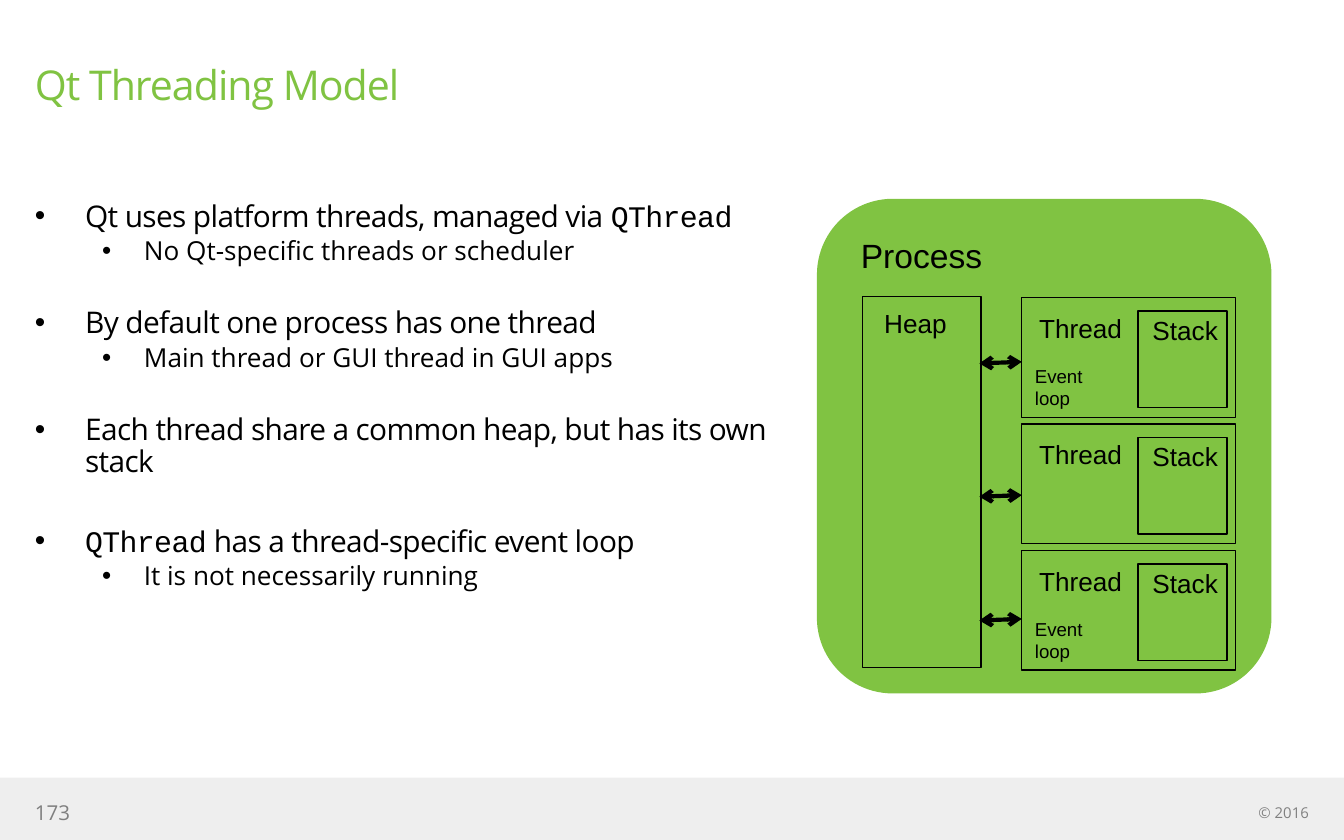
from lxml import etree
from pptx import Presentation
from pptx.dml.color import RGBColor
from pptx.enum.shapes import MSO_CONNECTOR, MSO_SHAPE
from pptx.enum.text import MSO_ANCHOR, PP_ALIGN
from pptx.oxml.ns import qn
from pptx.util import Cm, Pt

RECTANGLE, ROUNDED = MSO_SHAPE.RECTANGLE, MSO_SHAPE.ROUNDED_RECTANGLE
STRAIGHT = MSO_CONNECTOR.STRAIGHT
MIDDLE, TOP = MSO_ANCHOR.MIDDLE, MSO_ANCHOR.TOP
LEFT, RIGHT = PP_ALIGN.LEFT, PP_ALIGN.RIGHT

GREEN, BLACK, GREY, PALE = "80C342", "000000", "808080", "EEEEEE"
SANS, MONO, LABEL_FONT = "Open Sans", "Courier New", "Arial"

# Each bullet: level, space before in points, runs of (text, font name)
BULLETS = [
    (0, 0, [("Qt uses platform threads, managed via ", SANS), ("QThread", MONO)]),
    (1, 2.5, [("No Qt-specific threads or scheduler", SANS)]),
    (0, 22.3, [("By default one process has one thread", SANS)]),
    (1, 2.5, [("Main thread or GUI thread in GUI apps", SANS)]),
    (0, 22.3, [("Each thread share a common heap, but has its own stack", SANS)]),
    (0, 25.2, [("QThread", MONO), (" has a thread-specific event loop", SANS)]),
    (1, 2.5, [("It is not necessarily running", SANS)]),
]
# Per level: font size, letter spacing, text indent and bullet hang in cm
LEVELS = [(16, -0.3, 0.95, 0.95), (14, 0, 2.06, 0.79)]

# Each thread: has an event loop, arrow height below the thread's top in cm
THREADS = [(True, 1.24), (False, 1.37), (True, 1.32)]


def color(value):
    return RGBColor.from_string(value)


def add_box(slide, kind, box, line=None, fill=GREEN):
    shape = slide.shapes.add_shape(kind, *map(Cm, box))
    shape.shadow.inherit = False
    shape.fill.solid()
    shape.fill.fore_color.rgb = color(fill)
    if line:
        shape.line.color.rgb = color(line)
        shape.line.width = Pt(0.75)
    else:
        shape.line.fill.background()


def add_frame(slide, box, anchor=TOP, inset=True):
    frame = slide.shapes.add_textbox(*map(Cm, box)).text_frame
    settings = {"word_wrap": True, "vertical_anchor": anchor}
    if not inset:
        for side in ("left", "right", "top", "bottom"):
            settings[f"margin_{side}"] = 0
    for name, value in settings.items():
        setattr(frame, name, value)
    return frame


def add_run(paragraph, text, size, name, ink=BLACK, spacing=0):
    run = paragraph.add_run()
    run.text = text
    for key, value in {"size": Pt(size), "name": name}.items():
        setattr(run.font, key, value)
    run.font.color.rgb = color(ink)
    if spacing:
        run.font._element.set("spc", str(round(spacing * 100)))


def add_line_of_text(slide, box, text, size, ink, anchor=MIDDLE, align=LEFT, spacing=0):
    paragraph = add_frame(slide, box, anchor, inset=False).paragraphs[0]
    paragraph.alignment = align
    add_run(paragraph, text, size, SANS, ink, spacing)


def add_label(slide, box, lines, size=14):
    frame = add_frame(slide, box)
    for index, text in enumerate(lines):
        paragraph = frame.add_paragraph() if index else frame.paragraphs[0]
        add_run(paragraph, text, size, LABEL_FONT)


def add_bullets(slide, box):
    frame = add_frame(slide, box, inset=False)
    for index, (level, space, runs) in enumerate(BULLETS):
        size, spacing, indent, hang = LEVELS[level]
        paragraph = frame.add_paragraph() if index else frame.paragraphs[0]
        settings = {"level": level, "line_spacing": 0.9, "space_before": Pt(space)}
        for name, value in settings.items():
            setattr(paragraph, name, value)
        properties = paragraph._p.get_or_add_pPr()
        properties.set("marL", str(Cm(indent)))
        properties.set("indent", str(-Cm(hang)))
        etree.SubElement(properties, qn("a:buFont")).set("typeface", LABEL_FONT)
        etree.SubElement(properties, qn("a:buChar")).set("char", "•")
        for text, name in runs:
            add_run(paragraph, text, size, name, spacing=spacing)


def add_double_arrow(slide, start, end):
    connector = slide.shapes.add_connector(STRAIGHT, *map(Cm, (*start, *end)))
    connector.line.color.rgb = color(BLACK)
    connector.line.width = Pt(2.25)
    line = connector.line._get_or_add_ln()
    for tag in ("a:headEnd", "a:tailEnd"):
        etree.SubElement(line, qn(tag)).set("type", "arrow")
    etree.SubElement(connector._element.spPr, qn("a:effectLst"))


def add_thread(slide, box, has_event_loop):
    left, top = box[:2]
    add_box(slide, RECTANGLE, box, BLACK)
    add_label(slide, (left + 0.08, top + 0.15, 2.29, 0.86), ["Thread"])
    add_box(slide, RECTANGLE, (left + 2.2, top + 0.25, 1.68, 1.83), BLACK)
    add_label(slide, (left + 2.22, top + 0.19, 1.85, 0.86), ["Stack"])
    if has_event_loop:
        add_label(slide, (left, top + 1.14, 2.29, 1.12), ["Event", "loop"], 10)


def add_process(slide, box):
    left, top = box[:2]
    add_box(slide, ROUNDED, box)
    add_label(slide, (left + 0.58, top + 0.56, 3.12, 0.94), ["Process"], 18)
    add_box(slide, RECTANGLE, (left + 0.86, top + 1.85, 2.24, 7.01), BLACK)
    add_label(slide, (left + 1.02, top + 1.93, 2.29, 0.86), ["Heap"])
    thread_left = left + 3.87
    for index, (has_event_loop, arrow_drop) in enumerate(THREADS):
        thread_top = top + 1.87 + index * 2.39
        add_thread(slide, (thread_left, thread_top, 4.04, 2.26), has_event_loop)
        arrow_top = thread_top + arrow_drop
        add_double_arrow(slide, (left + 3.07, arrow_top),
                         (thread_left, arrow_top - 0.03))


def add_footer(slide, box):
    left, top, width, _ = box
    add_box(slide, RECTANGLE, box, fill=PALE)
    add_line_of_text(slide, (left + width - 5.28, top + 0.49, 4.62, 0.33),
                     "© 2016", 8, GREY, align=RIGHT)
    add_line_of_text(slide, (left + 0.66, top + 0.41, 6.27, 0.48), "173", 11, "7F7F7F")


def main():
    presentation = Presentation()
    presentation.slide_width, presentation.slide_height = Cm(25.4), Cm(15.88)
    slide = presentation.slides.add_slide(presentation.slide_layouts[6])
    add_footer(slide, (0, 14.7, 25.4, 1.18))
    add_line_of_text(slide, (0.66, 1.12, 17.14, 2.16), "Qt Threading Model",
                     22, GREEN, anchor=TOP, spacing=-0.5)
    add_bullets(slide, (0.66, 3.81, 13.89, 10.52))
    add_process(slide, (15.44, 3.76, 8.59, 9.35))
    presentation.save("out.pptx")


if __name__ == "__main__":
    main()
